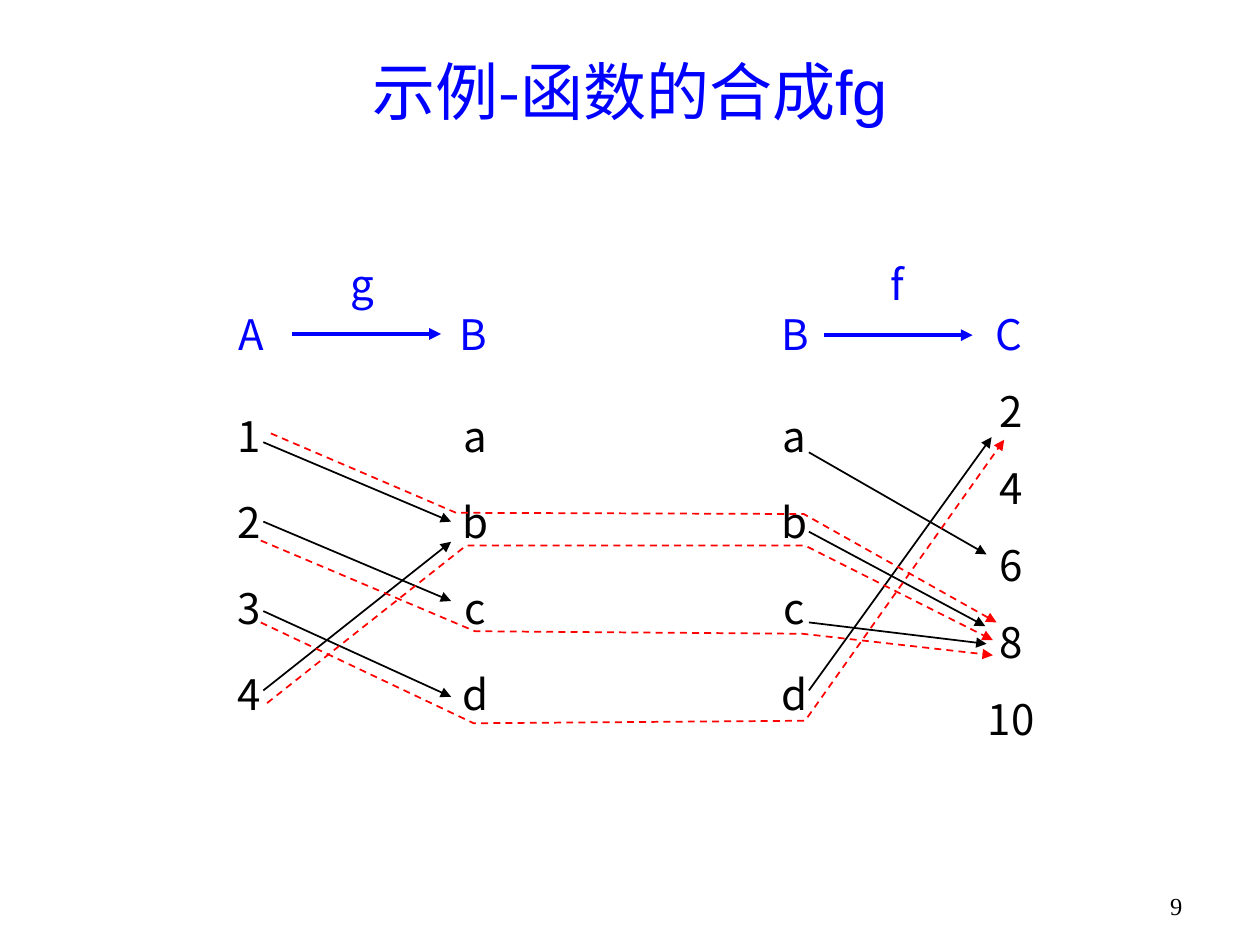
from pptx import Presentation
from pptx.dml.color import RGBColor
from pptx.enum.dml import MSO_LINE
from pptx.enum.shapes import MSO_CONNECTOR
from pptx.enum.text import MSO_ANCHOR, PP_ALIGN
from pptx.oxml.ns import qn
from pptx.util import Inches, Pt
from lxml.etree import SubElement

COLORS = {"blue": "0000FF", "black": "000000", "red": "FF0000"}
CJK, LATIN, SERIF = "Noto Sans CJK SC", "Arial", "Times New Roman"

TITLE = [("示例-函数的合成", CJK), ("fg", LATIN)]
PAGE = "9"
MIDDLE, COL_W = 4.485, 0.85
COLUMNS = [
    (1.55, 2.73, ["1", "2", "3", "4"]),
    (3.35, 2.73, ["a", "b", "c", "d"]),
    (5.88, 2.73, ["a", "b", "c", "d"]),
    (7.6, 3.05, ["2", "4", "6", "8", "10"]),
]
LABEL_W, LABEL_H = 0.79, 0.39
SET_TOP, MAP_TOP = 2.49, 2.1
LABELS = [
    ("A", 1.6, SET_TOP), ("B", 3.36, SET_TOP),
    ("B", 5.92, SET_TOP), ("C", 7.61, SET_TOP),
    ("g", 2.48, MAP_TOP), ("f", 6.73, MAP_TOP),
]
HEADER_ARROWS = [(2.32, 3.5, 2.65), (6.54, 7.72, 2.66)]
G_X, F_X = (2.09, 3.58), 6.42
G_ARROWS = [(3.51, 4.14), (4.14, 4.77), (5.48, 4.3), (4.85, 5.53)]
F_ARROWS = [(4.22, 7.82, 4.97), (3.59, 7.83, 4.4),
            (5.48, 7.87, 3.47), (4.94, 7.83, 5.11)]
COMPOSED = [
    [(2.15, 3.44), (3.62, 4.07), (6.38, 4.08), (7.91, 4.94)],
    [(2.07, 4.29), (3.77, 5.01), (6.37, 5.03), (7.88, 5.2)],
    [(2.07, 4.94), (3.76, 5.74), (6.39, 5.72), (7.97, 3.49)],
    [(2.12, 5.58), (3.7, 4.33), (6.39, 4.33), (7.88, 5.08)],
]


def write(tf, runs, size=24, color="black", spacing=None, before=None):
    p = tf.paragraphs[0]
    p.alignment = PP_ALIGN.CENTER
    p.line_spacing = spacing
    p.space_before = before
    for text, font in runs:
        r = p.add_run()
        r.text = text
        r.font.size = Pt(size)
        r.font.name = font
        r.font.bold = False
        r.font.color.rgb = RGBColor.from_string(COLORS[color])
        SubElement(r.font._element, qn("a:ea")).set("typeface", font)


def add_text(s, box, runs, inset=None, anchor=MSO_ANCHOR.TOP, **fmt):
    tf = s.shapes.add_textbox(*map(Inches, box)).text_frame
    tf.word_wrap = True
    tf.vertical_anchor = anchor
    if inset is not None:
        tf.margin_left = tf.margin_right = tf.margin_top = tf.margin_bottom = inset
    write(tf, runs, **fmt)


def add_column(s, left, height, items):
    frame = s.shapes.add_table(len(items), 1, Inches(left), Inches(MIDDLE - height / 2),
                               Inches(COL_W), Inches(height))
    table = frame.table
    table.first_row = table.horz_banding = False
    for i, item in enumerate(items):
        cell = table.cell(i, 0)
        cell.fill.background()
        cell.vertical_anchor = MSO_ANCHOR.MIDDLE
        write(cell.text_frame, [(item, CJK)], spacing=0.9, before=Pt(5))


def style_arrow(sp, color, width):
    sp.line.color.rgb = RGBColor.from_string(COLORS[color])
    sp.line.width = Pt(width)
    SubElement(sp.line._get_or_add_ln(), qn("a:tailEnd")).set("type", "triangle")


def add_arrow(s, x1, y1, x2, y2, color="black", width=1):
    sp = s.shapes.add_connector(MSO_CONNECTOR.STRAIGHT, *map(Inches, (x1, y1, x2, y2)))
    style_arrow(sp, color, width)
    SubElement(sp._element.spPr, qn("a:effectLst"))


def add_route(s, points):
    start, *rest = [(Inches(x), Inches(y)) for x, y in points]
    builder = s.shapes.build_freeform(*start)
    builder.add_line_segments(rest, close=False)
    sp = builder.convert_to_shape()
    sp.shadow.inherit = False
    sp.fill.background()
    sp.line.dash_style = MSO_LINE.DASH
    style_arrow(sp, "red", 1)


def main():
    prs = Presentation()
    prs.slide_width, prs.slide_height = Inches(10), Inches(7.5)
    s = prs.slides.add_slide(prs.slide_layouts[6])
    add_text(s, (0.75, 0.36, 8.5, 0.71), TITLE, size=36, color="blue",
             anchor=MSO_ANCHOR.MIDDLE)
    add_text(s, (9.02, 7.02, 0.63, 0.37), [(PAGE, SERIF)], size=14)
    for column in COLUMNS:
        add_column(s, *column)
    for y1, y2 in G_ARROWS:
        add_arrow(s, G_X[0], y1, G_X[1], y2)
    for y1, x2, y2 in F_ARROWS:
        add_arrow(s, F_X, y1, x2, y2)
    for text, left, top in LABELS:
        add_text(s, (left, top, LABEL_W, LABEL_H), [(text, CJK)], inset=0,
                 color="blue", spacing=0.9, before=Pt(5))
    for x1, x2, y in HEADER_ARROWS:
        add_arrow(s, x1, y, x2, y, color="blue", width=2.25)
    for points in COMPOSED:
        add_route(s, points)
    prs.save("out.pptx")


if __name__ == "__main__":
    main()
